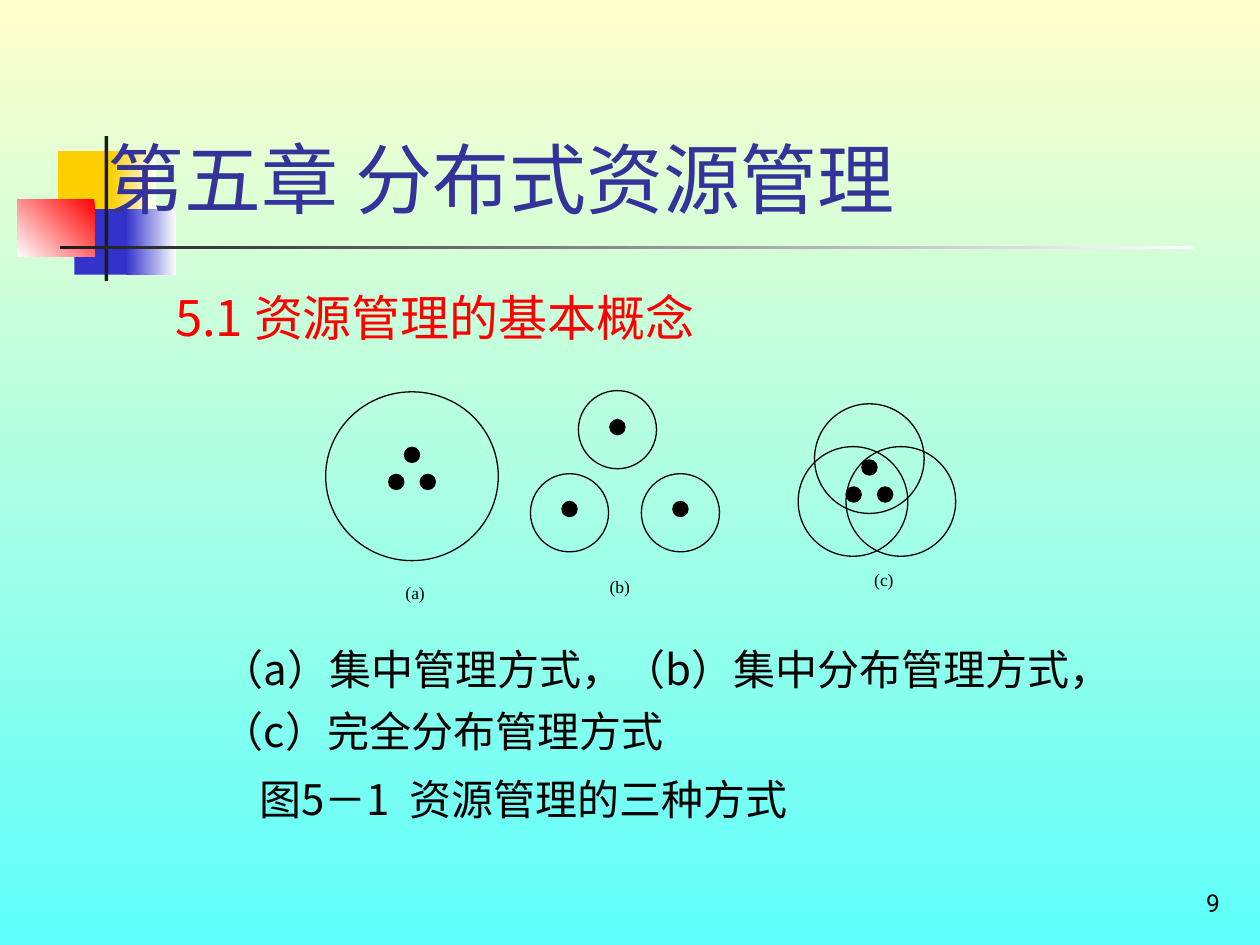
from typing import NamedTuple

from lxml.etree import SubElement
from pptx import Presentation
from pptx.dml.color import RGBColor
from pptx.enum.shapes import MSO_SHAPE
from pptx.enum.text import MSO_ANCHOR, MSO_AUTO_SIZE, PP_ALIGN
from pptx.oxml.ns import qn
from pptx.util import Inches, Pt

COLORS = {
    "cream": "FFFFCC", "aqua": "5DFFFB", "gold": "FFCF01", "blue": "3333CC",
    "red": "FF0000", "white": "FFFFFF", "ink": "1C1C1C", "title": "333399",
    "black": "000000",
}
SANS, SERIF, HAN = "Roboto", "Times New Roman", "Noto Sans CJK SC"
DOT = 0.12


class Block(NamedTuple):
    left: float
    top: float
    width: float
    height: float
    fill: str
    fade: str = ""
    angle: float = 0


class Ring(NamedTuple):
    x: float
    y: float
    width: float
    height: float


class Panel(NamedTuple):
    label: str
    left: float
    top: float
    rings: list[Ring]
    dots: list[tuple[float, float]]


class Line(NamedTuple):
    text: str
    size: int
    color: str
    indent: float
    before: int


def trio(x: float, y: float) -> list[tuple[float, float]]:
    """Centres of three dots in a triangle with its tip at x, y."""
    return [(x, y), (x - 0.125, y + 0.215), (x + 0.125, y + 0.215)]


BLOCKS = [
    Block(0.46, 1.2, 0.48, 0.52, "gold"),
    Block(0.88, 1.2, 0.36, 0.52, "white", "gold", 180),
    Block(0.59, 1.66, 0.46, 0.52, "blue"),
    Block(1, 1.66, 0.4, 0.52, "white", "blue", 180),
    Block(0.14, 1.58, 0.61, 0.46, "red", "white", 225),
    Block(0.83, 1.08, 0.03, 1.15, "ink"),
    Block(0.48, 1.95, 9, 0.03, "white", "ink", 180),
]
PANELS = [
    Panel("(a)", 3.12, 4.57, [Ring(3.27, 3.78, 1.37, 1.34)], trio(3.27, 3.61)),
    Panel("(b)", 4.74, 4.52,
          [Ring(x, y, 0.62, 0.62)
           for x, y in [(4.9, 3.41), (5.4, 4.07), (4.52, 4.07)]],
          [(4.9, 3.39), (4.52, 4.04), (5.4, 4.04)]),
    Panel("(c)", 6.84, 4.47,
          [Ring(x, y, 0.87, 0.87)
           for x, y in [(6.9, 3.64), (6.77, 3.98), (7.15, 3.98)]],
          trio(6.9, 3.71)),
]
LINES = [
    Line("5.1 资源管理的基本概念", 28, "red", 0, 0),
    Line("（a）集中管理方式，（b）集中分布管理方式，", 24, "black", 0.37, 164),
    Line("（c）完全分布管理方式", 24, "black", 0.37, 0),
    Line("图5－1  资源管理的三种方式", 24, "black", 0.67, 4),
]


def rgb(name: str) -> RGBColor:
    return RGBColor.from_string(COLORS[name])


def blend(fill, start: str, end: str, angle: float) -> None:
    fill.gradient()
    fill.gradient_angle = angle
    for stop, name, spot in zip(fill.gradient_stops, (start, end), (0, 1)):
        stop.color.rgb = rgb(name)
        stop.position = spot


def write(para, text: str, *, size: int, color: str = "black",
          font: str = SANS, align=PP_ALIGN.LEFT) -> None:
    para.alignment = align
    run = para.add_run()
    run.text = text
    run.font.size = Pt(size)
    run.font.name = font
    run.font.color.rgb = rgb(color)
    if font == HAN:
        SubElement(run.font._element, qn("a:ea"), typeface=HAN)


def place(shape, left: float, top: float, width: float, height: float) -> None:
    shape.left, shape.top = Inches(left), Inches(top)
    shape.width, shape.height = Inches(width), Inches(height)


def label(slide, text: str, box: tuple, anchor=MSO_ANCHOR.TOP, **form) -> None:
    frame = slide.shapes.add_textbox(*map(Inches, box)).text_frame
    frame.word_wrap = True
    frame.vertical_anchor = anchor
    write(frame.paragraphs[0], text, **form)


def draw_block(slide, block: Block) -> None:
    shape = slide.shapes.add_shape(MSO_SHAPE.RECTANGLE, *map(Inches, block[:4]))
    shape.shadow.inherit = False
    shape.line.fill.background()
    if block.fade:
        blend(shape.fill, block.fill, block.fade, block.angle)
    else:
        shape.fill.solid()
        shape.fill.fore_color.rgb = rgb(block.fill)


def draw_ring(slide, ring: Ring, solid: bool = False) -> None:
    x, y, width, height = ring
    shape = slide.shapes.add_shape(
        MSO_SHAPE.OVAL, Inches(x - width / 2), Inches(y - height / 2),
        Inches(width), Inches(height))
    shape.shadow.inherit = False
    shape.line.color.rgb = rgb("black")
    shape.line.width = Pt(0.75)
    if solid:
        shape.fill.solid()
        shape.fill.fore_color.rgb = rgb("black")
    else:
        shape.fill.background()


def draw_panel(slide, panel: Panel) -> None:
    for ring in panel.rings:
        draw_ring(slide, ring)
    for x, y in panel.dots:
        draw_ring(slide, Ring(x, y, DOT, DOT), solid=True)
    label(slide, panel.label, (panel.left, panel.top, 0.47, 0.38),
          size=10, font=SERIF, align=PP_ALIGN.JUSTIFY)


def fill_body(frame) -> None:
    for i, line in enumerate(LINES):
        para = frame.add_paragraph() if i else frame.paragraphs[0]
        write(para, line.text, size=line.size, color=line.color, font=HAN)
        para.line_spacing = Pt(35)
        para.space_before = Pt(line.before)
        props = para._p.get_or_add_pPr()
        props.set("marL", str(Inches(line.indent)))
        props.set("indent", "0")
        SubElement(props, qn("a:buNone"))


def main() -> None:
    deck = Presentation()
    deck.slide_width, deck.slide_height = Inches(10), Inches(7.5)
    slide = deck.slides.add_slide(deck.slide_layouts[1])
    blend(slide.background.fill, "cream", "aqua", 270)
    title, body = slide.placeholders
    for block in BLOCKS:
        draw_block(slide, block)
    for holder in (title, body):  # bring the text in front of the blocks
        slide.shapes._spTree.append(holder._element)
        holder.text_frame.auto_size = MSO_AUTO_SIZE.NONE
    place(title, 0.75, 0.75, 9.03, 1.08)
    title.text_frame.vertical_anchor = MSO_ANCHOR.BOTTOM
    write(title.text_frame.paragraphs[0], "第五章 分布式资源管理",
          size=44, color="title")
    place(body, 1.29, 2.21, 8.5, 4.79)
    fill_body(body.text_frame)
    for panel in PANELS:
        draw_panel(slide, panel)
    label(slide, "9", (7.7, 6.83, 2.08, 0.5), MSO_ANCHOR.BOTTOM,
          size=14, align=PP_ALIGN.RIGHT)
    deck.save("out.pptx")


if __name__ == "__main__":
    main()
